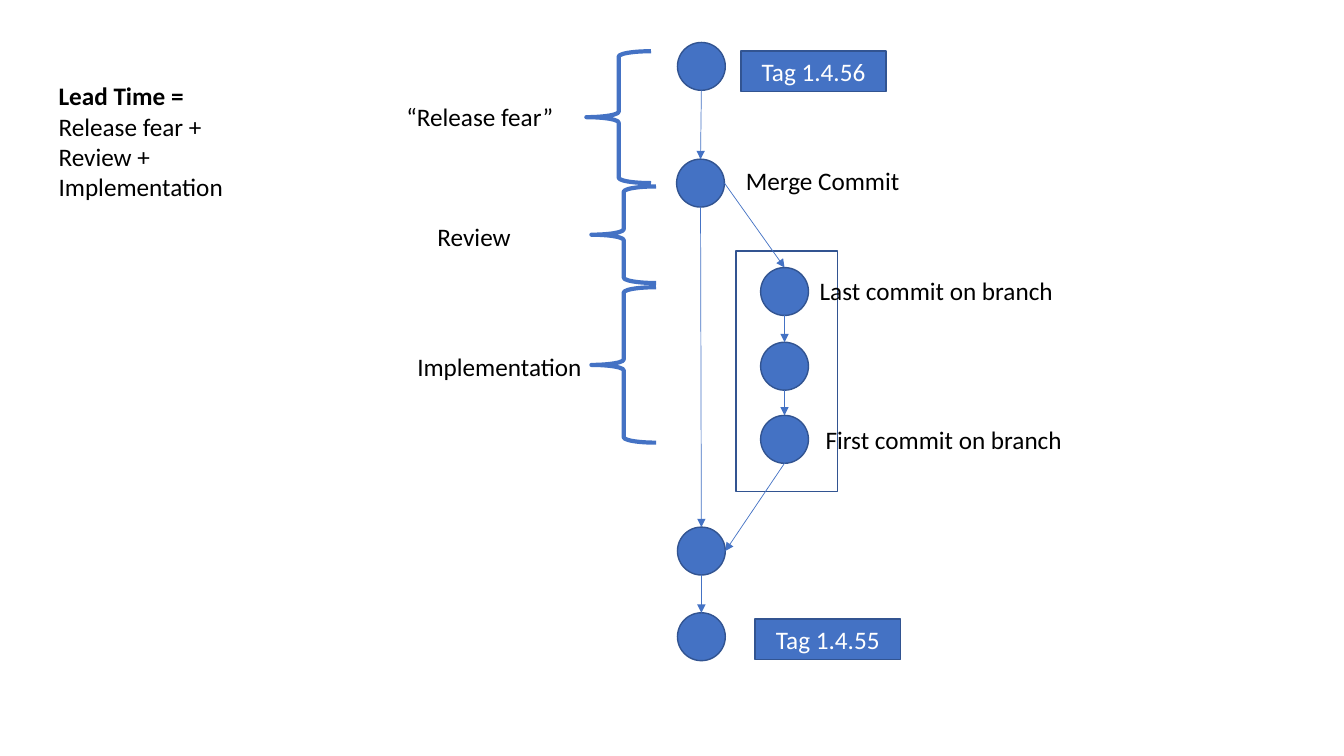
"""Build the lead time slide: a commit graph with its phases marked by braces."""
from typing import NamedTuple

from lxml import etree
from pptx import Presentation
from pptx.dml.color import RGBColor
from pptx.enum import shapes, text
from pptx.oxml import ns
from pptx.util import Emu, Inches, Pt

BLUE = RGBColor(0x44, 0x72, 0xC4)
NAVY = RGBColor(0x32, 0x54, 0x91)
BLACK = RGBColor(0, 0, 0)
WHITE = RGBColor(255, 255, 255)
COLUMNS, ROWS = 16, 9
DIAMETER = 0.57
ROW_OF_TEXT = 0.48
FONT, FONT_SIZE = "Calibri", Pt(18)


class Area(NamedTuple):
    column: float
    row: float
    width: float
    height: float = ROW_OF_TEXT


class Point(NamedTuple):
    column: float
    row: float


class Label(NamedTuple):
    wording: str
    area: Area


class Arrow(NamedTuple):
    start: str
    leaving: Point
    end: str
    entering: Point


TOP, BOTTOM, RIGHT = Point(0, -0.5), Point(0, 0.5), Point(0.5, 0)
COMMITS = {
    "new tag": Point(8.35, 0.79),
    "merge": Point(8.34, 2.18),
    "last": Point(9.34, 3.47),
    "middle": Point(9.34, 4.36),
    "first": Point(9.34, 5.23),
    "base": Point(8.35, 6.56),
    "old tag": Point(8.35, 7.58),
}
ARROWS = [
    Arrow("new tag", BOTTOM, "merge", TOP),
    Arrow("merge", BOTTOM, "base", TOP),
    Arrow("merge", RIGHT, "last", TOP),
    Arrow("last", BOTTOM, "middle", TOP),
    Arrow("middle", BOTTOM, "first", TOP),
    Arrow("first", BOTTOM, "base", RIGHT),
    Arrow("base", BOTTOM, "old tag", TOP),
]
BRANCH = Area(8.76, 2.99, 1.21, 2.86)
TAGS = [
    Label("Tag 1.4.56", Area(8.82, 0.61, 1.73)),
    Label("Tag 1.4.55", Area(8.99, 7.37, 1.73)),
]
BRACES = [
    Area(6.98, 0.61, 0.77, 1.57),
    Area(7.04, 2.22, 0.77, 1.15),
    Area(7.04, 3.42, 0.77, 1.85),
]
LABELS = [
    Label("Merge Commit", Area(8.76, 1.91, 2.09)),
    Label("First commit on branch", Area(9.71, 4.99, 3.08)),
    Label("Last commit on branch", Area(9.64, 3.22, 3.05)),
    Label("“Release fear”", Area(4.72, 1.15, 1.99)),
    Label("Review", Area(5.09, 2.57, 1.13)),
    Label("Implementation", Area(4.85, 4.12, 2.22)),
]
FORMULA = Label("Lead Time =\nRelease fear +\nReview +\nImplementation",
                Area(0.58, 0.9, 2.22, 1.57))

deck = Presentation()
deck.slide_width, deck.slide_height = Inches(13.33), Inches(7.5)
page = deck.slides.add_slide(deck.slide_layouts[6])


def across(columns: float) -> Emu:
    return Emu(round(deck.slide_width * columns / COLUMNS))


def down(rows: float) -> Emu:
    return Emu(round(deck.slide_height * rows / ROWS))


def place(area: Area) -> tuple[Emu, Emu, Emu, Emu]:
    return across(area.column), down(area.row), across(area.width), down(area.height)


def draw_shape(kind: shapes.MSO_SHAPE, area: Area, fill: RGBColor | None = BLUE,
               line: RGBColor = NAVY, weight: float = 1):
    shape = page.shapes.add_shape(kind, *place(area))
    shape.shadow.inherit = False
    if fill is None:
        shape.fill.background()
    else:
        shape.fill.solid()
        shape.fill.fore_color.rgb = fill
    shape.line.color.rgb = line
    shape.line.width = Pt(weight)
    return shape


def write(box, wording: str, color: RGBColor) -> None:
    box.text_frame.text = wording
    for para in box.text_frame.paragraphs:
        for span in para.runs:
            span.font.name, span.font.size = FONT, FONT_SIZE
            span.font.color.rgb = color


def draw_tag(tag: Label) -> None:
    box = draw_shape(shapes.MSO_SHAPE.RECTANGLE, tag.area)
    write(box, tag.wording, WHITE)
    box.text_frame.vertical_anchor = text.MSO_ANCHOR.MIDDLE
    box.text_frame.paragraphs[0].alignment = text.PP_ALIGN.CENTER


def draw_label(label: Label):
    box = page.shapes.add_textbox(*place(label.area))
    box.text_frame.word_wrap = False
    box.text_frame.auto_size = text.MSO_AUTO_SIZE.SHAPE_TO_FIT_TEXT
    write(box, label.wording, BLACK)
    return box


def draw_commit(center: Point) -> None:
    radius = DIAMETER / 2
    draw_shape(shapes.MSO_SHAPE.OVAL, Area(center.column - radius, center.row - radius,
                                           DIAMETER, DIAMETER))


def edge(commit: str, side: Point) -> tuple[Emu, Emu]:
    center = COMMITS[commit]
    return (across(center.column + side.column * DIAMETER),
            down(center.row + side.row * DIAMETER))


def draw_arrow(arrow: Arrow) -> None:
    connector = page.shapes.add_connector(
        shapes.MSO_CONNECTOR.STRAIGHT,
        *edge(arrow.start, arrow.leaving), *edge(arrow.end, arrow.entering))
    connector.line.color.rgb = BLUE
    connector.line.width = Pt(0.5)
    etree.SubElement(connector.line._get_or_add_ln(), ns.qn("a:tailEnd"), type="triangle")
    etree.SubElement(connector._element.spPr, ns.qn("a:effectLst"))


draw_shape(shapes.MSO_SHAPE.RECTANGLE, BRANCH, fill=None)
for commit_center in COMMITS.values():
    draw_commit(commit_center)
for release_tag in TAGS:
    draw_tag(release_tag)
for commit_arrow in ARROWS:
    draw_arrow(commit_arrow)
for brace in BRACES:
    draw_shape(shapes.MSO_SHAPE.LEFT_BRACE, brace, fill=None, line=BLUE, weight=3)
for caption in LABELS:
    draw_label(caption)
formula = draw_label(FORMULA)
formula.text_frame.paragraphs[0].runs[0].font.bold = True

deck.save("out.pptx")
